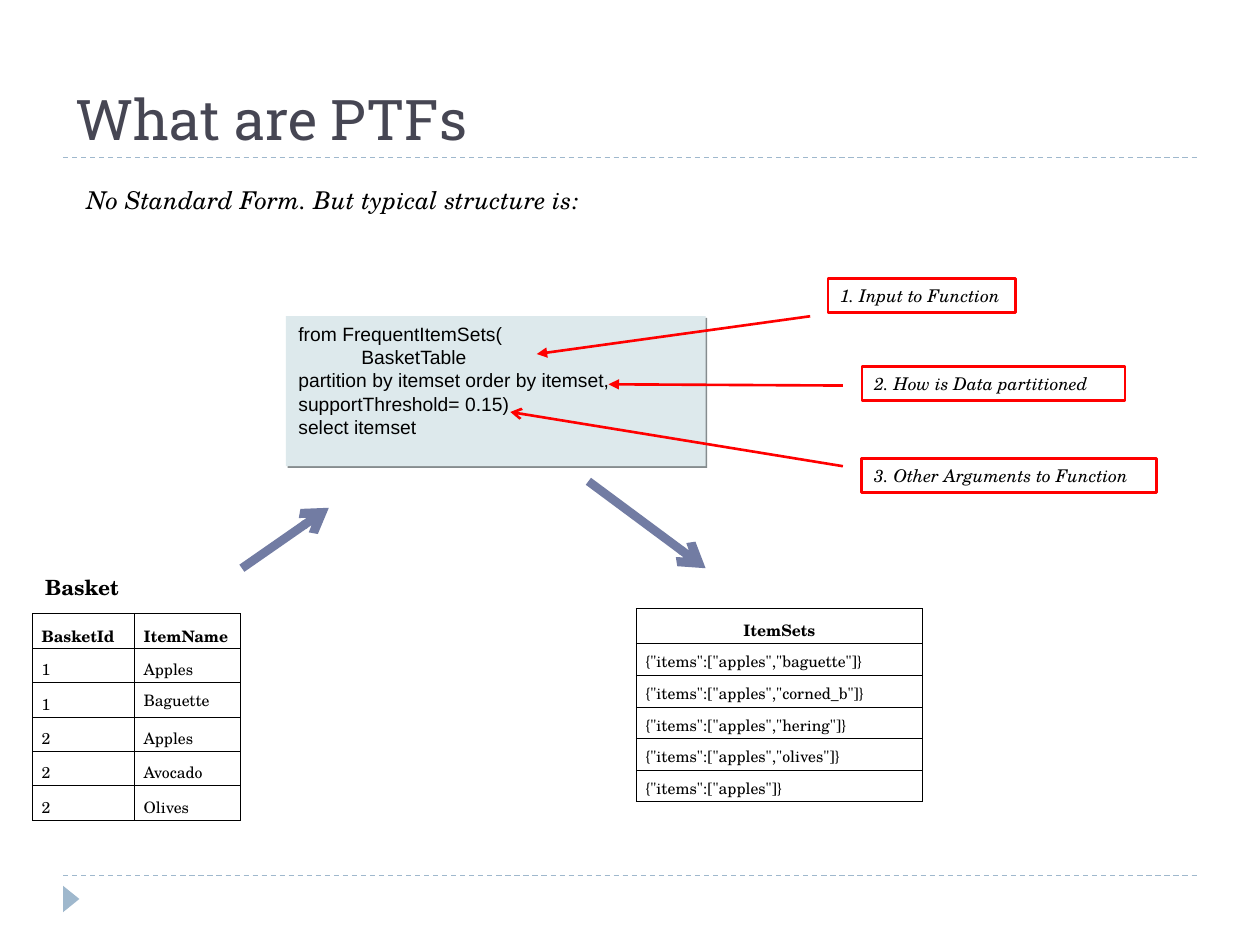
from lxml import etree
from pptx import Presentation
from pptx.dml.color import RGBColor
from pptx.enum.dml import MSO_LINE
from pptx.enum.shapes import MSO_CONNECTOR, MSO_SHAPE
from pptx.enum.text import MSO_ANCHOR, PP_ALIGN
from pptx.oxml.ns import qn
from pptx.util import Inches, Pt

STRAIGHT = MSO_CONNECTOR.STRAIGHT
RECTANGLE = MSO_SHAPE.RECTANGLE
TRIANGLE = MSO_SHAPE.ISOSCELES_TRIANGLE
DASH = MSO_LINE.DASH
TOP, BOTTOM = MSO_ANCHOR.TOP, MSO_ANCHOR.BOTTOM
LEFT, CENTER = PP_ALIGN.LEFT, PP_ALIGN.CENTER

BLACK = RGBColor(0x00, 0x00, 0x00)
WHITE = RGBColor(0xFF, 0xFF, 0xFF)
RED = RGBColor(0xFF, 0x00, 0x00)
SLATE = RGBColor(0x46, 0x46, 0x53)
PALE_BLUE = RGBColor(0x9F, 0xB8, 0xCD)
CODE_FILL = RGBColor(0xDD, 0xE9, 0xEC)
FLOW_BLUE = RGBColor(0x72, 0x7C, 0xA3)
SHADOW = "858C8E"

HEADING_FONT, BODY_FONT, CODE_FONT = "Roboto Slab", "TeX Gyre Schola", "Arial"

CODE = [
    "from FrequentItemSets(",
    "\tBasketTable",
    "partition by itemset order by itemset,",
    "supportThreshold= 0.15)",
    "select itemset",
]
BASKET = [
    ["BasketId", "ItemName"],
    ["1", "Apples"],
    ["1", "Baguette"],
    ["2", "Apples"],
    ["2", "Avocado"],
    ["2", "Olives"],
]
ITEM_SETS = [
    ["ItemSets"],
    ['{"items":["apples","baguette"]}'],
    ['{"items":["apples","corned_b"]}'],
    ['{"items":["apples","hering"]}'],
    ['{"items":["apples","olives"]}'],
    ['{"items":["apples"]}'],
]
# Label, its box, and the start and end of its arrow with the arrowhead
CALLOUTS = [
    ("1. Input to Function", (6.57, 2.21, 1.49, 0.27), (6.43, 2.51), (4.26, 2.81), "triangle"),
    ("2. How is Data partitioned", (6.84, 2.91, 2.09, 0.27), (6.69, 3.06), (4.83, 3.05), "triangle"),
    ("3. Other Arguments to Function", (6.84, 3.64, 2.34, 0.27), (6.69, 3.7), (4.05, 3.27), "arrow"),
]


def inches(values):
    return [Inches(value) for value in values]


def write(frame, lines, size, font=BODY_FONT, color=BLACK, bold=False,
          italic=False, align=LEFT, spacing=None):
    for index, line in enumerate(lines):
        paragraph = frame.paragraphs[0] if index == 0 else frame.add_paragraph()
        paragraph.alignment = align
        if spacing:
            paragraph.line_spacing = spacing
        run = paragraph.add_run()
        run.text = line
        run.font.size, run.font.name = Pt(size), font
        run.font.bold, run.font.italic = bold, italic
        run.font.color.rgb = color


def add_text(slide, box, text, size, anchor=TOP, margin=0.05, **text_format):
    frame = slide.shapes.add_textbox(*inches(box)).text_frame
    frame.word_wrap = True
    frame.vertical_anchor = anchor
    frame.margin_top = frame.margin_bottom = Inches(margin)
    write(frame, [text], size, **text_format)


def add_block(slide, box, fill=None, line=None, kind=RECTANGLE):
    shape = slide.shapes.add_shape(kind, *inches(box))
    shape.shadow.inherit = False
    if fill is None:
        shape.fill.background()
    else:
        shape.fill.solid()
        shape.fill.fore_color.rgb = fill
    if line is None:
        shape.line.fill.background()
    else:
        shape.line.color.rgb = line
        shape.line.width = Pt(1.5)
    shape.text_frame.vertical_anchor = TOP
    return shape


def add_line(slide, start, end, color, width, head=None, dash=None):
    line = slide.shapes.add_connector(STRAIGHT, *inches(start + end))
    line.line.color.rgb = color
    line.line.width = Pt(width)
    if dash:
        line.line.dash_style = dash
    if head:
        etree.SubElement(line.line._get_or_add_ln(), qn("a:tailEnd"), type=head)
    etree.SubElement(line._element.spPr, qn("a:effectLst"))


def add_cell_borders(cell):
    properties = cell._tc.get_or_add_tcPr()
    for side in ("lnL", "lnR", "lnT", "lnB"):
        border = etree.SubElement(properties, qn(f"a:{side}"), w=str(Pt(0.45)))
        fill = etree.SubElement(border, qn("a:solidFill"))
        etree.SubElement(fill, qn("a:srgbClr"), val=str(BLACK))


def add_data_table(slide, left, top, rows, widths, heights, header_align=LEFT, spacing=None):
    """Place a bordered table; spacing is the line spacing of the body rows."""
    box = inches((left, top, sum(widths), sum(heights)))
    table = slide.shapes.add_table(len(rows), len(widths), *box).table
    table.first_row = table.horz_banding = False
    for column, width in zip(table.columns, widths):
        column.width = Inches(width)
    for row_index, (values, height) in enumerate(zip(rows, heights)):
        table.rows[row_index].height = Inches(height)
        header = row_index == 0
        for column_index, value in enumerate(values):
            cell = table.cell(row_index, column_index)
            add_cell_borders(cell)
            cell.fill.background()
            cell.margin_left = cell.margin_right = Inches(0.07)
            cell.margin_top = cell.margin_bottom = Inches(0.05)
            single = value == "Baguette"
            write(cell.text_frame, [value], 9, bold=header,
                  align=header_align if header else LEFT,
                  spacing=1.15 if header else None if single else spacing)


def add_frame(slide, left, right):
    for y in (1.25, 6.95):
        add_line(slide, (left, y), (right, y), PALE_BLUE, 0.75, dash=DASH)
    marker = add_block(slide, (0.46, 7.07, 0.21, 0.13), fill=PALE_BLUE, kind=TRIANGLE)
    marker.rotation = 90


def add_code_box(slide, box):
    shape = add_block(slide, box, fill=CODE_FILL)
    effects = shape._element.spPr.find(qn("a:effectLst"))
    shadow = etree.SubElement(effects, qn("a:outerShdw"), blurRad="0", dist=str(Pt(1.4)),
                              dir=str(45 * 60000), algn="tl", rotWithShape="0")
    etree.SubElement(shadow, qn("a:srgbClr"), val=SHADOW)
    shape.text_frame.word_wrap = False
    write(shape.text_frame, CODE, 11, font=CODE_FONT)


def add_callout(slide, label, box, start, end, head):
    add_line(slide, start, end, RED, 1.5, head=head)
    shape = add_block(slide, box, line=RED)
    shape.text_frame.word_wrap = True
    write(shape.text_frame, [label], 10, italic=True)


def main():
    presentation = Presentation()
    presentation.slide_width, presentation.slide_height = Inches(10), Inches(7.5)
    slide = presentation.slides.add_slide(presentation.slide_layouts[6])
    slide.background.fill.solid()
    slide.background.fill.fore_color.rgb = WHITE

    add_frame(slide, 0.5, 9.5)
    add_text(slide, (0.5, 0.17, 9, 1.08), "What are PTFs", 32, anchor=BOTTOM,
             font=HEADING_FONT, color=SLATE)
    add_code_box(slide, (2.27, 2.51, 3.33, 1.19))
    add_text(slide, (0.59, 1.37, 4.47, 0.43), "No Standard Form. But typical structure is:",
             14, margin=0.1, italic=True)
    add_data_table(slide, 0.26, 4.87, BASKET, [0.81, 0.84], [0.27] * 6, spacing=1.15)
    add_text(slide, (0.26, 4.51, 1.03, 0.33), "Basket", 12, bold=True)
    add_data_table(slide, 5.05, 4.83, ITEM_SETS, [2.27], [0.28] + [0.25] * 5,
                   header_align=CENTER)
    add_line(slide, (1.92, 4.51), (2.61, 4.03), FLOW_BLUE, 5, head="arrow")
    add_line(slide, (4.67, 3.82), (5.6, 4.51), FLOW_BLUE, 5, head="arrow")
    for callout in CALLOUTS:
        add_callout(slide, *callout)

    presentation.save("out.pptx")


if __name__ == "__main__":
    main()
